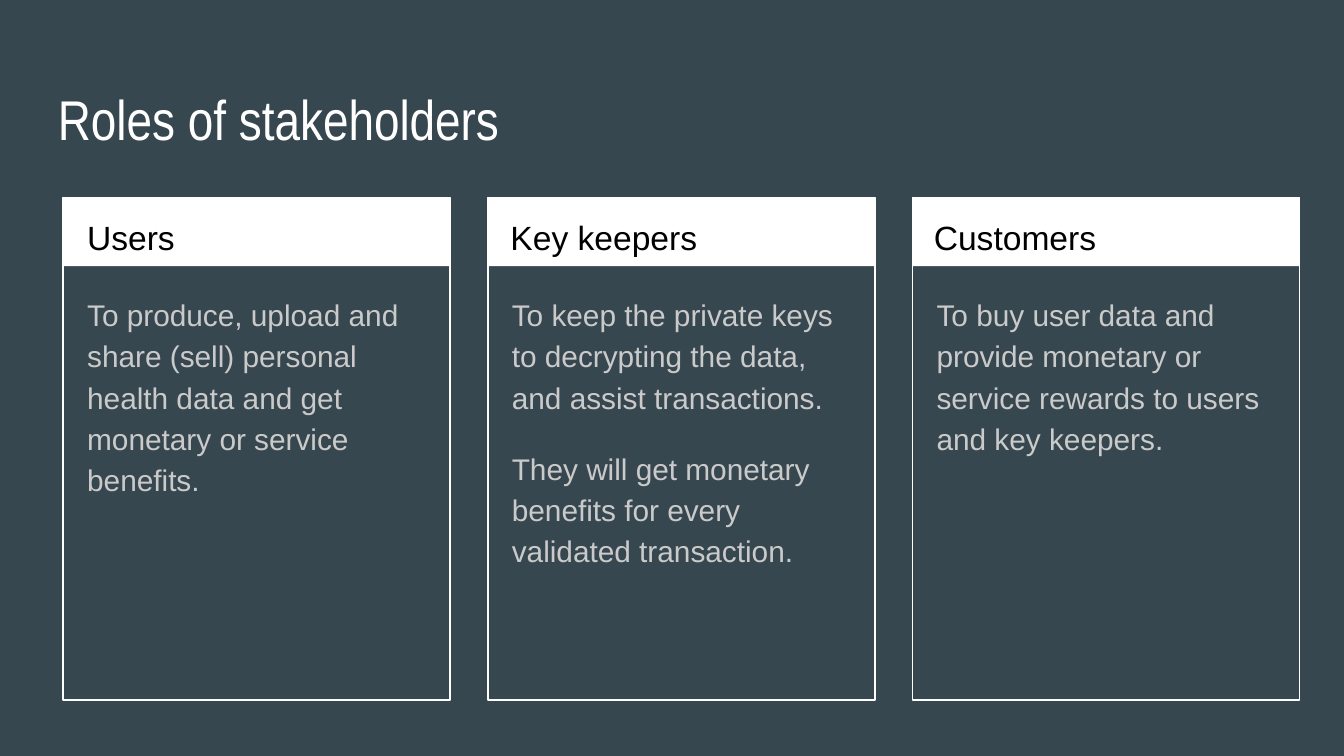
from dataclasses import dataclass

from pptx import Presentation
from pptx.dml.color import RGBColor
from pptx.enum.shapes import MSO_SHAPE
from pptx.enum.text import MSO_ANCHOR, MSO_AUTO_SIZE, PP_ALIGN
from pptx.util import Inches, Pt

RECT = MSO_SHAPE.RECTANGLE
TOP = MSO_ANCHOR.TOP
LEFT = PP_ALIGN.LEFT
FIXED = MSO_AUTO_SIZE.NONE

SLATE, WHITE, BLACK, GREY = "37474F", "FFFFFF", "000000", "CACACA"
CARD_X, CARD_Y, CARD_W, CARD_H = 0.47, 1.47, 2.88, 3.74
HEAD_H = 0.51
CARD_STEP, HEAD_STEP = 3.16, 3.15
TEXT_X = 0.55


@dataclass
class Role:
    name: str
    duties: list[str]


ROLES = [
    Role("Users", [
        "To produce, upload and share (sell) personal health data "
        "and get monetary or service benefits."]),
    Role("Key keepers", [
        "To keep the private keys to decrypting the data, "
        "and assist transactions.",
        "They will get monetary benefits for every validated transaction."]),
    Role("Customers", [
        "To buy user data and provide monetary or service rewards "
        "to users and key keepers."]),
]


def color(code: str) -> RGBColor:
    return RGBColor.from_string(code)


def place(shape, x: float, y: float, w: float, h: float) -> None:
    shape.left, shape.top = Inches(x), Inches(y)
    shape.width, shape.height = Inches(w), Inches(h)


def write(shape, lines: list[str], *, size: float, ink: str,
          font: str = "Arial", spacing: float = 1.15, gap: float = 0) -> None:
    """Fill a shape with paragraphs; gap is the space between them in points."""
    frame = shape.text_frame
    frame.word_wrap = True
    frame.auto_size = FIXED
    frame.vertical_anchor = TOP
    frame.margin_left = frame.margin_right = Inches(0.1)
    frame.margin_top = frame.margin_bottom = Inches(0.1)
    for i, line in enumerate(lines):
        para = frame.add_paragraph() if i else frame.paragraphs[0]
        para.alignment = LEFT
        para.line_spacing = spacing
        para.space_before = Pt(gap if i else 0)
        run = para.add_run()
        run.text = line
        run.font.name = font
        run.font.size = Pt(size)
        run.font.color.rgb = color(ink)


def add_text(slide, x: float, y: float, w: float, h: float,
             lines: list[str], **style) -> None:
    box = slide.shapes.add_textbox(0, 0, 0, 0)
    place(box, x, y, w, h)
    write(box, lines, **style)


def add_rect(slide, x: float, y: float, w: float, h: float, *,
             fill: str | None = None, line: str | None = None) -> None:
    rect = slide.shapes.add_shape(RECT, Inches(x), Inches(y),
                                  Inches(w), Inches(h))
    rect.shadow.inherit = False
    if fill:
        rect.fill.solid()
        rect.fill.fore_color.rgb = color(fill)
    else:
        rect.fill.background()
    if line:
        rect.line.color.rgb = color(line)
        rect.line.width = Pt(0.75)
    else:
        rect.line.fill.background()


def add_card(slide, role: Role, col: int) -> None:
    x = CARD_X + col * CARD_STEP
    add_rect(slide, x, CARD_Y, CARD_W, HEAD_H, fill=WHITE)
    add_rect(slide, x, CARD_Y, CARD_W, CARD_H, line=WHITE)
    add_text(slide, TEXT_X + col * HEAD_STEP, CARD_Y, 2.73, 0.5,
             [role.name], size=18, ink=BLACK)
    add_text(slide, TEXT_X + col * CARD_STEP, 2.07, 2.71, 3.06,
             role.duties, size=16, ink=GREY, gap=16)


def main() -> None:
    deck = Presentation()
    deck.slide_width = Inches(10)
    deck.slide_height = Inches(10 * 9 / 16)
    slide = deck.slides.add_slide(deck.slide_layouts[5])
    slide.background.fill.solid()
    slide.background.fill.fore_color.rgb = color(SLATE)

    title = slide.shapes.title
    place(title, 0.33, 0.53, 9.32, 0.63)
    write(title, ["Roles of stakeholders"], size=30, ink=WHITE,
          font="Arial Narrow", spacing=1)

    for col, role in enumerate(ROLES):
        add_card(slide, role, col)
    deck.save("out.pptx")


if __name__ == "__main__":
    main()
